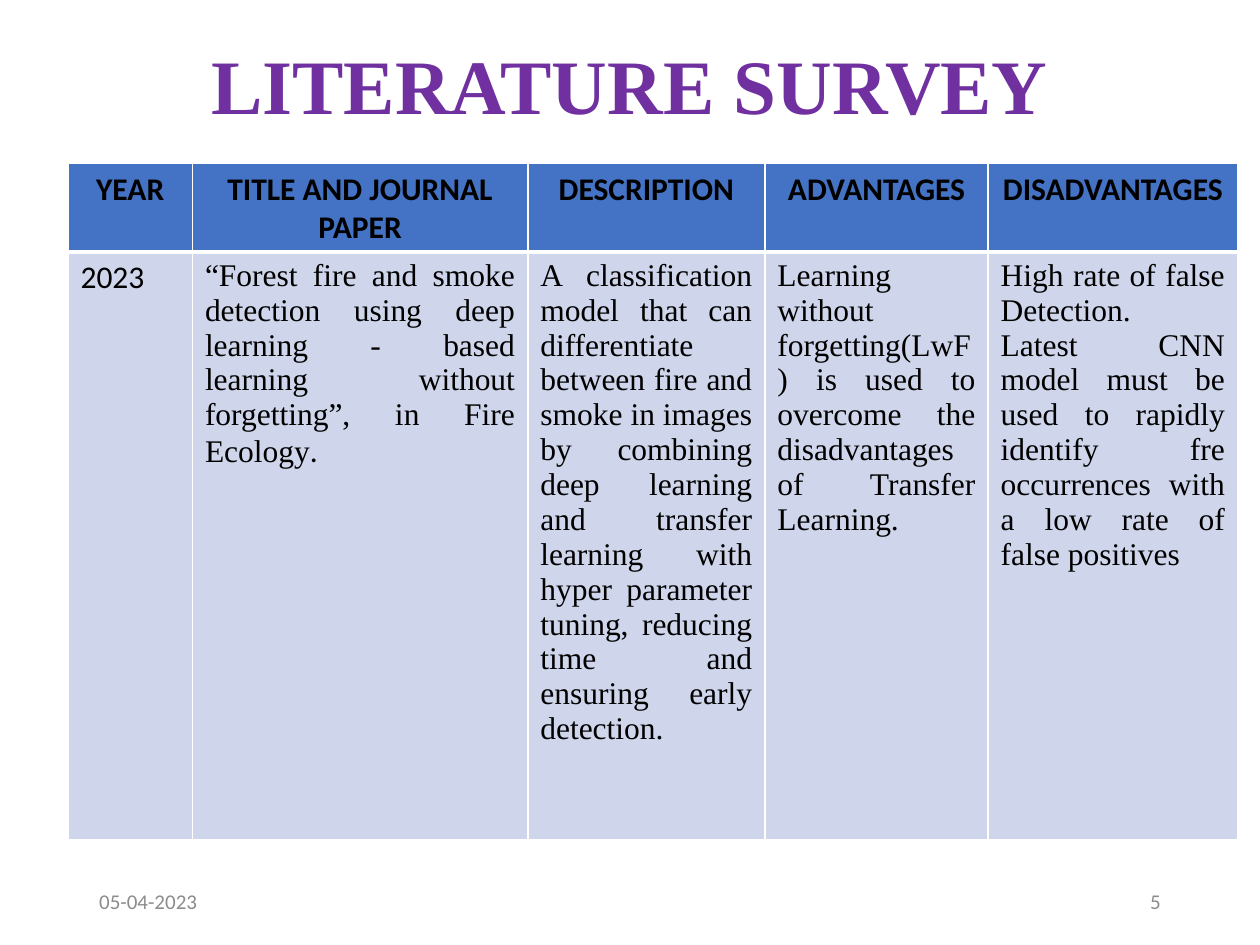
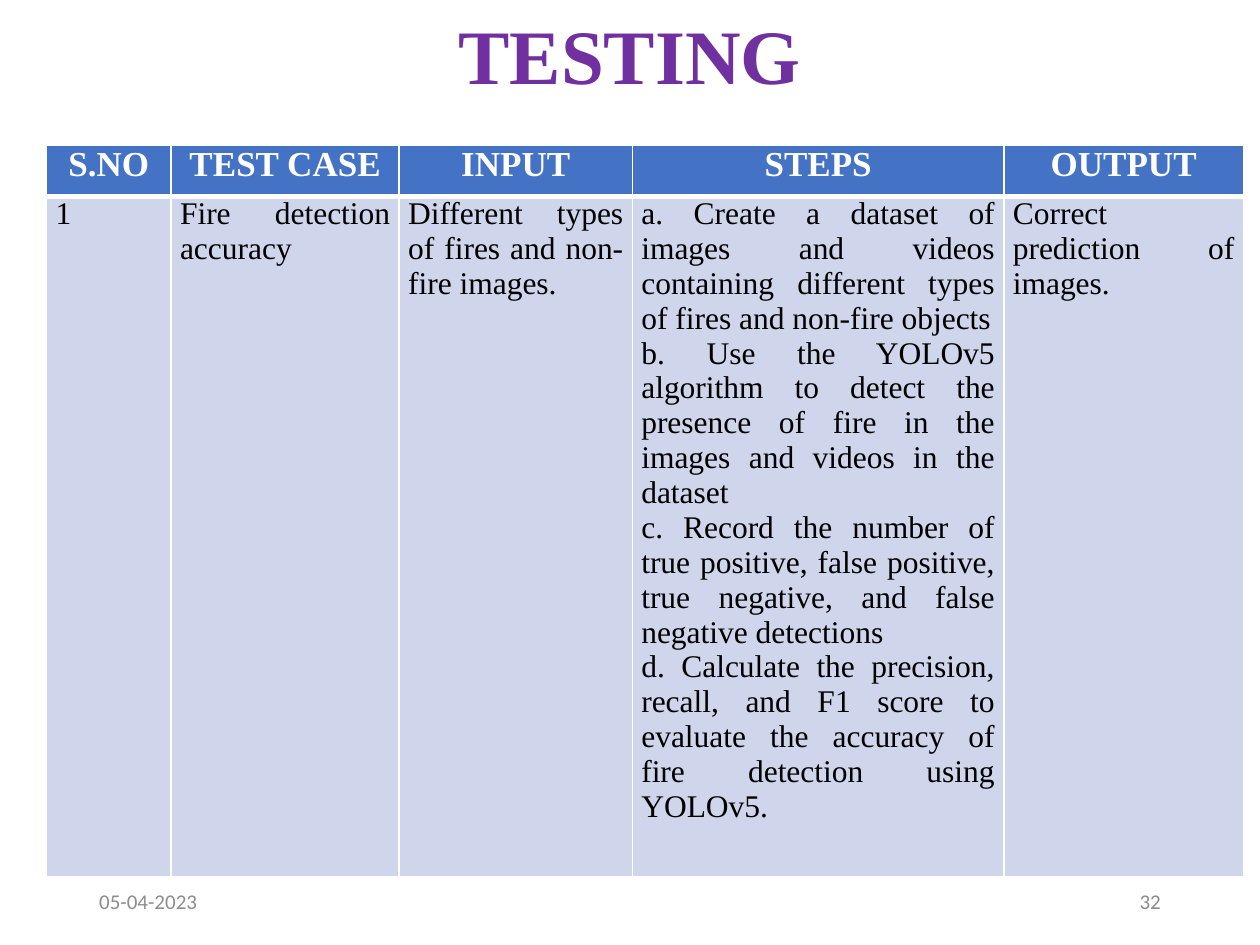
from lxml.etree import SubElement
from pptx import Presentation
from pptx.dml.color import RGBColor
from pptx.enum.text import MSO_ANCHOR as Anchor, PP_ALIGN as Align
from pptx.oxml.ns import qn
from pptx.util import Cm, Pt

PURPLE = RGBColor(0x70, 0x30, 0xA0)
BLUE = RGBColor(0x44, 0x72, 0xC4)
PALE_BLUE = RGBColor(0xCF, 0xD5, 0xEA)
GREY = RGBColor(0x8C, 0x8C, 0x8C)
BLACK = RGBColor(0, 0, 0)
WHITE = RGBColor(255, 255, 255)
SERIF = "Times New Roman"
SANS = "Calibri"
EDGE = 1.75
DATE = "05-04-2023"


def style_span(span, size, font, color, bold=False):
    span.font.size = Pt(size)
    span.font.name = font
    span.font.color.rgb = color
    span.font.bold = bold


def fill_text(frame, text, align, *style):
    """Write one paragraph per line of text, all in one style."""
    frame.text = text
    for para in frame.paragraphs:
        para.alignment = align
        for span in para.runs:
            style_span(span, *style)


def add_text(page, left, top, width, height, text, align, *style):
    box = page.shapes.add_textbox(Cm(left), Cm(top), Cm(width), Cm(height))
    frame = box.text_frame
    frame.word_wrap = True
    frame.vertical_anchor = Anchor.MIDDLE
    fill_text(frame, text, align, *style)
    return frame


def add_page(deck, title, title_top, number):
    """Add a slide with its title, date and slide number."""
    page = deck.slides.add_slide(deck.slide_layouts[6])
    frame = add_text(page, EDGE, title_top, 21.9, 1.47, title,
                     Align.CENTER, 44, SERIF, PURPLE, True)
    frame.paragraphs[0].line_spacing = 0.9
    add_text(page, EDGE, 17.65, 5.72, 1.02, DATE, Align.LEFT, 12, SANS, GREY)
    add_text(page, 17.93, 17.65, 5.72, 1.02, number, Align.RIGHT, 12, SANS, GREY)
    return page


def set_borders(cell, top, bottom):
    """Draw white borders; top and bottom are widths in points."""
    properties = cell._tc.get_or_add_tcPr()
    for side, width in (("L", 1), ("R", 1), ("T", top), ("B", bottom)):
        line = SubElement(properties, qn(f"a:ln{side}"), w=str(Pt(width)))
        color = SubElement(SubElement(line, qn("a:solidFill")), qn("a:srgbClr"))
        color.set("val", str(WHITE))


def set_margins(cell, side):
    cell.margin_left = cell.margin_right = Cm(side)
    cell.margin_top = cell.margin_bottom = 0


def add_grid(page, left, top, widths, heights, headings, texts, heading_style):
    """Add a table with one heading row and one row of justified text."""
    table = page.shapes.add_table(2, len(widths), Cm(left), Cm(top),
                                  Cm(sum(widths)), Cm(sum(heights))).table
    table.horz_banding = False
    for row, height in zip(table.rows, heights):
        row.height = Cm(height)
    for index, width in enumerate(widths):
        table.columns[index].width = Cm(width)
        head, body = table.cell(0, index), table.cell(1, index)
        set_borders(head, 1, 3)
        set_borders(body, 3, 1)
        for cell, color in ((head, BLUE), (body, PALE_BLUE)):
            cell.fill.solid()
            cell.fill.fore_color.rgb = color
        fill_text(head.text_frame, headings[index], Align.CENTER, *heading_style)
        fill_text(body.text_frame, texts[index], Align.JUSTIFY, 18, SERIF, BLACK)
    return table


def add_survey(deck):
    page = add_page(deck, "LITERATURE SURVEY", 1.07, "5")
    headings = ["YEAR", "TITLE AND JOURNAL PAPER", "DESCRIPTION",
                "ADVANTAGES", "DISADVANTAGES"]
    texts = [
        "2023",
        "“Forest fire and smoke detection using deep learning - based "
        "learning without forgetting”, in Fire Ecology",
        "A classification model that can differentiate between fire and smoke "
        "in images by combining deep learning and transfer learning with hyper "
        "parameter tuning, reducing time and ensuring early detection.",
        "Learning without forgetting(LwF) is used to overcome the "
        "disadvantages of Transfer Learning.",
        "High rate of false Detection.\n"
        "Latest CNN model must be used to rapidly identify fre occurrences "
        "with a low rate of false positives",
    ]
    table = add_grid(page, 1.37, 3.3, [2.51, 6.76, 4.78, 4.5, 5.03], [1.7, 11.84],
                     headings, texts, (18, SANS, BLACK, True))
    year, paper = (table.cell(1, column).text_frame.paragraphs[0]
                   for column in (0, 1))
    year.runs[0].font.name = SANS
    full_stop = paper.add_run()
    full_stop.text = "."
    style_span(full_stop, 18, SANS, BLACK)


def add_testing(deck):
    page = add_page(deck, "TESTING", 0.46, "32")
    headings = ["S.NO", "TEST CASE", "INPUT", "STEPS", "OUTPUT"]
    steps = [
        "a. Create a dataset of images and videos containing different types "
        "of fires and non-fire objects",
        "b. Use the YOLOv5 algorithm to detect the presence of fire in the "
        "images and videos in the dataset",
        "c. Record the number of true positive, false positive, true negative, "
        "and false negative detections",
        "d. Calculate the precision, recall, and F1 score to evaluate the "
        "accuracy of fire detection using YOLOv5.",
    ]
    texts = ["1", "Fire detection accuracy",
             "Different types of fires and non-fire images.",
             "\n".join(steps), "Correct prediction of images."]
    table = add_grid(page, 0.94, 2.92, [2.51, 4.6, 4.7, 7.49, 4.83], [1.04, 12.65],
                     headings, texts, (20, SERIF, WHITE, True))
    for row, side in zip(table.rows, (0.15, 0.18)):
        for cell in row.cells:
            set_margins(cell, side)


def main():
    deck = Presentation()
    deck.slide_width, deck.slide_height = Cm(25.4), Cm(19.05)
    add_survey(deck)
    add_testing(deck)
    deck.save("out.pptx")


if __name__ == "__main__":
    main()
